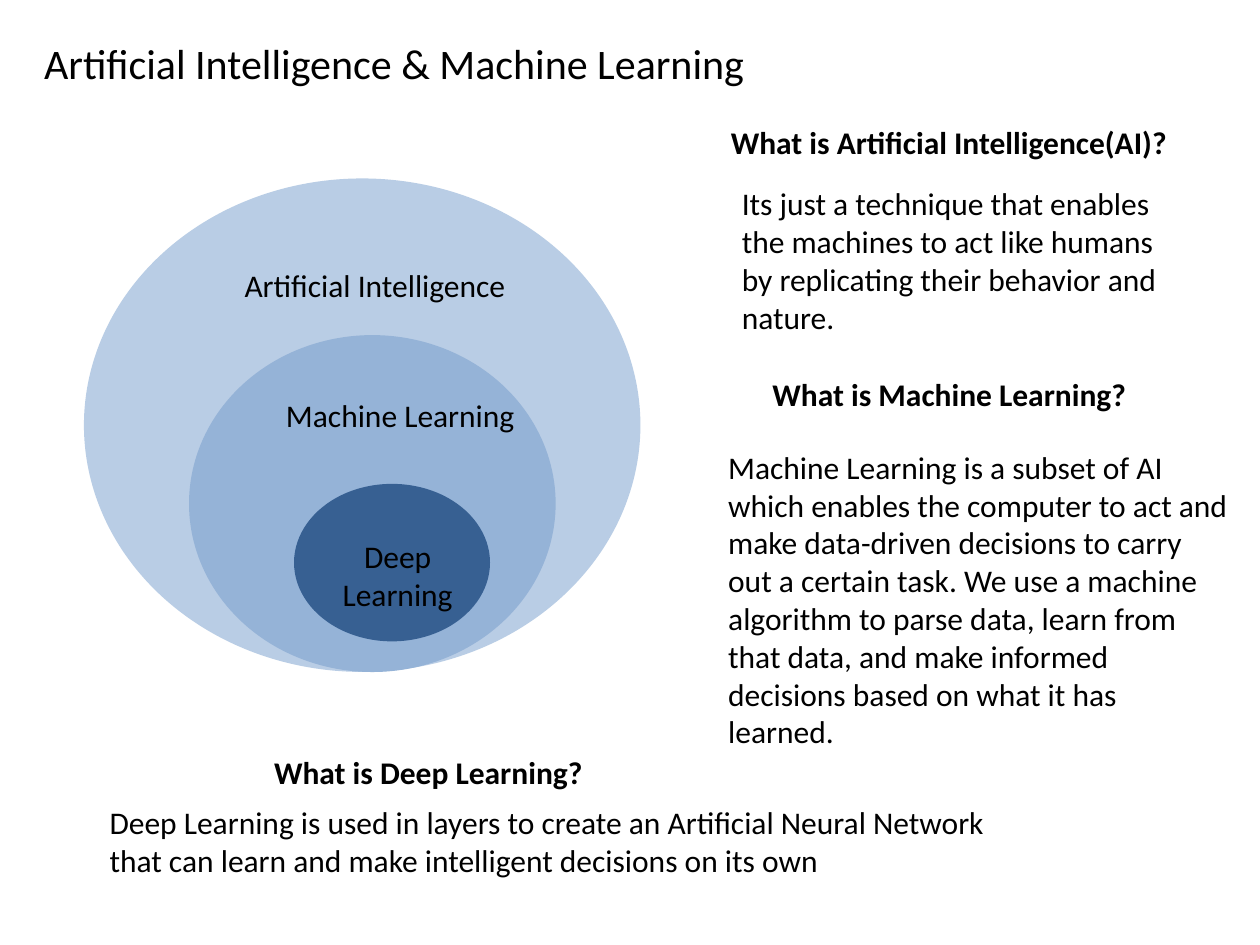
from pptx import Presentation
from pptx.dml.color import RGBColor
from pptx.enum.shapes import MSO_SHAPE
from pptx.enum.text import MSO_ANCHOR, MSO_AUTO_SIZE, PP_ALIGN
from pptx.util import Pt

THEME = {
    "font": "Calibri",
    "text": RGBColor(0x00, 0x00, 0x00),
    "outer": RGBColor(0xB9, 0xCD, 0xE5),
    "middle": RGBColor(0x95, 0xB3, 0xD7),
    "inner": RGBColor(0x37, 0x60, 0x92),
    "title_size": Pt(24),
    "text_size": Pt(18),
}


def write_text(shape, lines, size, bold=False, align=PP_ALIGN.LEFT, wrap=True):
    frame = shape.text_frame
    frame_format = {
        "word_wrap": wrap,
        "auto_size": MSO_AUTO_SIZE.NONE,
        "vertical_anchor": MSO_ANCHOR.TOP,
    }
    for name, value in frame_format.items():
        setattr(frame, name, value)
    frame.text = "\n".join(lines)
    font_format = {"name": THEME["font"], "size": size, "bold": bold}
    for paragraph in frame.paragraphs:
        paragraph.alignment = align
        for name, value in font_format.items():
            setattr(paragraph.font, name, value)
        paragraph.font.color.rgb = THEME["text"]


def add_text(box, lines, **options):
    shape = slide.shapes.add_textbox(*map(Pt, box))
    write_text(shape, lines, THEME["text_size"], **options)


presentation = Presentation()
presentation.slide_width, presentation.slide_height = Pt(720), Pt(540)
slide = presentation.slides.add_slide(presentation.slide_layouts[5])

# Title
title = slide.shapes.title
title_place = {"left": 18, "top": 18, "width": 419, "height": 36}
for name, value in title_place.items():
    setattr(title, name, Pt(value))
write_text(title, ["Artificial Intelligence & Machine Learning"],
           THEME["title_size"], wrap=False)

# Nested ellipses, outermost first
ellipses = [
    ("outer", (48, 102, 318, 282)),
    ("middle", (108, 191.5, 209.5, 192.5)),
    ("inner", (168, 276.5, 112, 90)),
]
for color, box in ellipses:
    ellipse = slide.shapes.add_shape(MSO_SHAPE.OVAL, *map(Pt, box))
    ellipse.shadow.inherit = False
    ellipse.fill.solid()
    ellipse.fill.fore_color.rgb = THEME[color]
    ellipse.line.fill.background()

# Ellipse labels
labels = [
    ((116.8, 148.5, 195, 29), ["Artificial Intelligence"]),
    ((145.5, 223, 166.5, 29), ["Machine Learning"]),
    ((144, 303.3, 166.5, 51), ["Deep", "Learning"]),
]
for box, lines in labels:
    add_text(box, lines, align=PP_ALIGN.CENTER)

# Questions
questions = [
    ((410.5, 67, 265.5, 29), "What is Artificial Intelligence(AI)?"),
    ((434.3, 211, 218, 29), "What is Machine Learning?"),
    ((149.5, 426.5, 192, 29), "What is Deep Learning?"),
]
for box, question in questions:
    add_text(box, [question], bold=True, wrap=False)

# Answers
answers = [
    ((416.8, 101.8, 260, 94.5),
     "Its just a technique that enables the machines to act like humans "
     "by replicating their behavior and nature."),
    ((409, 252.3, 300, 181.5),
     "Machine Learning is a subset of AI which enables the computer to act "
     "and make data-driven decisions to carry out a certain task. We use a "
     "machine algorithm to parse data, learn from that data, and make "
     "informed decisions based on what it has learned."),
    ((55.5, 455.3, 538.5, 51),
     "Deep Learning is used in layers to create an Artificial Neural "
     "Network that can learn and make intelligent decisions on its own"),
]
for box, answer in answers:
    add_text(box, [answer])

presentation.save("out.pptx")
